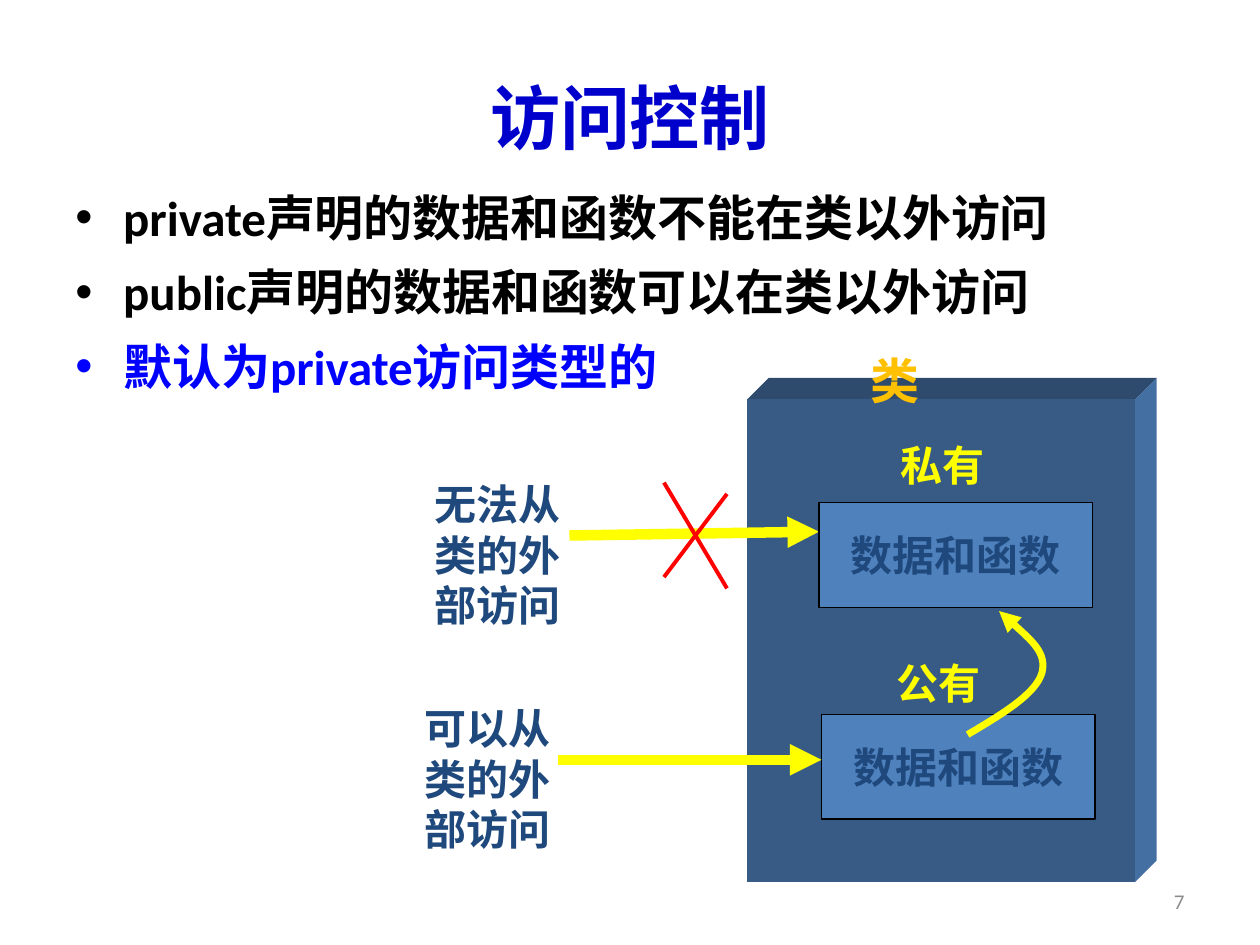
from pptx import Presentation
from pptx.dml.color import RGBColor
from pptx.enum.shapes import MSO_CONNECTOR, MSO_SHAPE
from pptx.enum.text import MSO_ANCHOR, PP_ALIGN
from pptx.oxml.ns import qn
from pptx.util import Inches, Pt
from lxml.etree import SubElement

NAVY = RGBColor(0x00, 0x00, 0xCC)
BLUE = RGBColor(0x00, 0x00, 0xFF)
INK = RGBColor(0x1F, 0x49, 0x7D)
STEEL = RGBColor(0x4F, 0x81, 0xBD)
FRONT = RGBColor(0x38, 0x5B, 0x85)
TOP = RGBColor(0x2E, 0x4A, 0x6C)
SIDE = RGBColor(0x44, 0x6F, 0xA3)
YELLOW = RGBColor(0xFF, 0xFF, 0x00)
ORANGE = RGBColor(0xFF, 0xC0, 0x00)
RED = RGBColor(0xFF, 0x00, 0x00)
BLACK = RGBColor(0x00, 0x00, 0x00)
GRAY = RGBColor(0x8C, 0x8C, 0x8C)
CJK = "Noto Sans CJK SC"


class Deck:
    """Holds the slide and draws each kind of element in the deck's style."""

    def __init__(self, prs):
        self.s = prs.slides.add_slide(prs.slide_layouts[6])

    def run(self, p, text, size, color, font=CJK, bold=True):
        r = p.add_run()
        r.text = text
        r.font.size, r.font.bold, r.font.name = Pt(size), bold, font
        r.font.color.rgb = color

    def frame(self, x, y, w, h, anchor=MSO_ANCHOR.TOP):
        tf = self.s.shapes.add_textbox(Inches(x), Inches(y), Inches(w), Inches(h)).text_frame
        tf.word_wrap, tf.vertical_anchor = True, anchor
        return tf

    def text(self, x, y, w, h, text, size, color, font=CJK, bold=True,
             align=PP_ALIGN.LEFT, anchor=MSO_ANCHOR.TOP):
        p = self.frame(x, y, w, h, anchor).paragraphs[0]
        p.alignment = align
        self.run(p, text, size, color, font, bold)

    def bullets(self, x, y, w, h, items):
        tf = self.frame(x, y, w, h)
        for i, (text, color) in enumerate(items):
            p = tf.add_paragraph() if i else tf.paragraphs[0]
            p.line_spacing, p.space_before = 1.1, Pt(5.6)
            pPr = p._p.get_or_add_pPr()
            pPr.set("marL", str(Inches(0.38)))
            pPr.set("indent", str(-Inches(0.38)))
            SubElement(pPr, qn("a:buFont")).set("typeface", "Arial")
            SubElement(pPr, qn("a:buChar")).set("char", "•")
            self.run(p, text, 28, color, "Calibri")

    def box(self, x, y, w, h, fill, text=None):
        sp = self.s.shapes.add_shape(MSO_SHAPE.FLOWCHART_PROCESS, Inches(x), Inches(y), Inches(w), Inches(h))
        sp.shadow.inherit = False
        sp.fill.solid()
        sp.fill.fore_color.rgb = fill
        if text is None:
            sp.line.fill.background()
            return
        sp.line.color.rgb, sp.line.width = BLACK, Pt(0.75)
        tf = sp.text_frame
        tf.word_wrap, tf.vertical_anchor = False, MSO_ANCHOR.MIDDLE
        tf.paragraphs[0].alignment = PP_ALIGN.CENTER
        self.run(tf.paragraphs[0], text, 24, INK)

    def outline(self, points, close):
        start, *rest = [(Inches(x), Inches(y)) for x, y in points]
        fb = self.s.shapes.build_freeform(*start)
        fb.add_line_segments(rest, close=close)
        sp = fb.convert_to_shape()
        sp.shadow.inherit = False
        return sp

    def face(self, points, fill):
        sp = self.outline(points, True)
        sp.fill.solid()
        sp.fill.fore_color.rgb = fill
        sp.line.fill.background()

    def block(self, x, y, w, h, depth):
        r, b, d = x + w, y + h, depth
        self.face([(x, y), (x + d, y - d), (r + d, y - d), (r, y)], TOP)
        self.face([(r, y), (r + d, y - d), (r + d, b - d), (r, b)], SIDE)
        self.box(x, y, w, h, FRONT)

    def stroke(self, sp, color, width, arrow):
        sp.line.color.rgb, sp.line.width = color, Pt(width)
        if arrow:
            SubElement(sp.line._get_or_add_ln(), qn("a:tailEnd")).set("type", "triangle")

    def curve(self, points, color, width):
        sp = self.outline(points, False)
        sp.fill.background()
        path = sp._element.find(".//" + qn("a:path"))
        segments = path.findall(qn("a:lnTo"))
        for i in range(0, len(segments), 3):
            bezier = SubElement(path, qn("a:cubicBezTo"))
            for segment in segments[i:i + 3]:
                bezier.append(segment[0])
                path.remove(segment)
        self.stroke(sp, color, width, True)

    def line(self, x1, y1, x2, y2, color, width, arrow=False):
        sp = self.s.shapes.add_connector(MSO_CONNECTOR.STRAIGHT, Inches(x1), Inches(y1), Inches(x2), Inches(y2))
        self.stroke(sp, color, width, arrow)
        SubElement(sp._element.spPr, qn("a:effectLst"))


def main():
    prs = Presentation()
    prs.slide_width, prs.slide_height = Inches(10), Inches(7.5)
    d = Deck(prs)
    d.text(7.17, 6.95, 2.33, 0.4, "7", 12, GRAY, "Calibri", False, PP_ALIGN.RIGHT, MSO_ANCHOR.MIDDLE)
    d.text(0.5, 0.3, 9, 1.25, "访问控制", 40, NAVY, "Arial", True, PP_ALIGN.CENTER, MSO_ANCHOR.MIDDLE)
    d.bullets(0.5, 1.39, 8.5, 1.97, [
        ("private声明的数据和函数不能在类以外访问", BLACK),
        ("public声明的数据和函数可以在类以外访问", BLACK),
        ("默认为private访问类型的", BLUE),
    ])
    d.block(5.93, 3.17, 3.08, 3.83, 0.17)
    d.text(6.81, 2.73, 1.58, 0.57, "类", 28, ORANGE)
    d.box(6.52, 5.67, 2.17, 0.83, STEEL, "数据和函数")
    d.text(7.05, 3.44, 1.08, 0.5, "私有", 24, YELLOW)
    d.text(7.02, 5.17, 1.08, 0.5, "公有", 24, YELLOW)
    d.curve([(7.68, 5.83), (7.95, 5.67), (8.22, 5.51), (8.27, 5.34),
             (8.31, 5.18), (8.12, 5.02), (7.93, 4.85)], YELLOW, 4)
    d.line(4.52, 4.25, 6.5, 4.22, YELLOW, 6, True)
    d.line(5.77, 3.92, 5.27, 4.58, RED, 2.25)
    d.line(5.27, 3.83, 5.77, 4.67, RED, 2.25)
    d.text(3.35, 3.75, 1.42, 1.3, "无法从类的外部访问", 24, INK)
    d.line(4.43, 6.03, 6.52, 6.03, YELLOW, 6, True)
    d.text(3.27, 5.53, 1.42, 1.3, "可以从类的外部访问", 24, INK)
    d.box(6.5, 3.99, 2.17, 0.83, STEEL, "数据和函数")
    prs.save("out.pptx")


if __name__ == "__main__":
    main()
